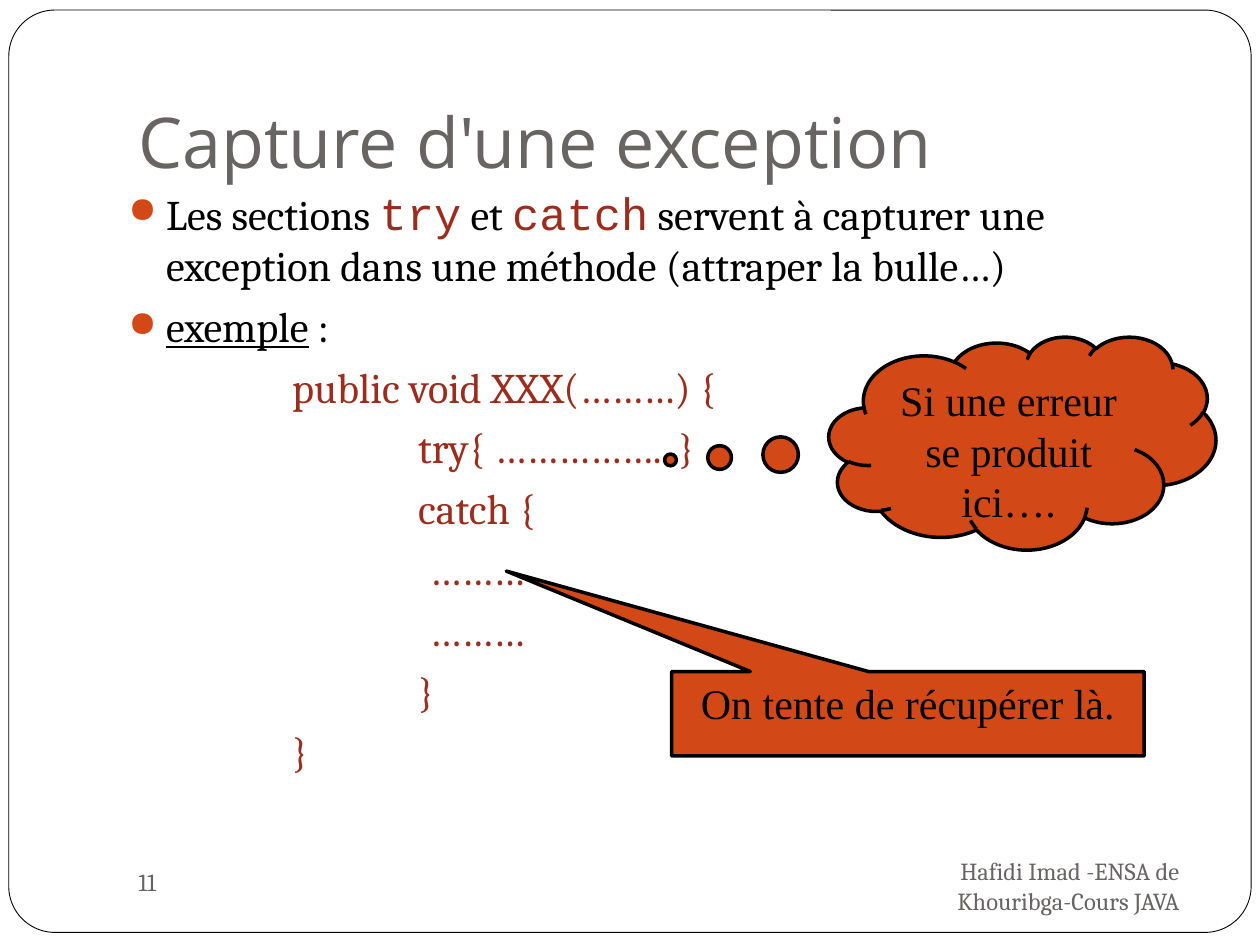
import pptx
import pptx.util
import pptx.dml.color
import pptx.enum.shapes
import pptx.enum.text
import pptx.oxml

Pt = pptx.util.Pt
Shape = pptx.enum.shapes.MSO_SHAPE
Align = pptx.enum.text.PP_ALIGN
Anchor = pptx.enum.text.MSO_ANCHOR
NS = 'xmlns:a="http://schemas.openxmlformats.org/drawingml/2006/main"'
COLS, ROWS = 40, 30
BLACK, WHITE, GREY, RED, ORANGE = "000000", "FFFFFF", "696464", "9B2D1F", "D34817"


def color(text):
    return pptx.dml.color.RGBColor.from_string(text)


class Deck:
    head = dict(name="Open Sans", size=Pt(40), color=GREY)
    foot = dict(name="Cambria", size=Pt(14), color=GREY)
    body = dict(name="Cambria", size=Pt(24.1), color=BLACK)
    code = dict(body, color=RED)
    word = dict(name="Courier New", size=Pt(25.9), color=RED)
    note = dict(name="Times New Roman", size=Pt(24), color=BLACK)

    def __init__(self):
        self.show = pptx.Presentation()
        self.show.slide_width = pptx.util.Inches(10)
        self.show.slide_height = pptx.util.Inches(7.5)
        self.slide = self.show.slides.add_slide(self.show.slide_layouts[6])

    def place(self, col, row, wide, high):
        x, y = self.show.slide_width / COLS, self.show.slide_height / ROWS
        return [round(n) for n in (col * x, row * y, wide * x, high * y)]

    def run(self, para, text, style, **more):
        run = para.add_run()
        run.text = text
        for key, value in dict(style, **more).items():
            if key == "color":
                run.font.color.rgb = color(value)
            else:
                setattr(run.font, key, value)

    def text(self, grid, text="", style=None, anchor=Anchor.TOP, align=Align.LEFT):
        frame = self.slide.shapes.add_textbox(*self.place(*grid)).text_frame
        frame.word_wrap = True
        frame.vertical_anchor = anchor
        frame.paragraphs[0].alignment = align
        if text:
            self.run(frame.paragraphs[0], text, style)
        return frame

    def shape(self, kind, grid, adjust, fill, width, text=""):
        item = self.slide.shapes.add_shape(kind, *self.place(*grid))
        item.shadow.inherit = False
        for i, value in enumerate(adjust):
            item.adjustments[i] = value
        item.fill.solid()
        item.fill.fore_color.rgb = color(fill)
        item.line.color.rgb = color(BLACK)
        item.line.width = Pt(width)
        if text:
            frame = item.text_frame
            frame.word_wrap = True
            frame.vertical_anchor = Anchor.TOP
            frame.paragraphs[0].alignment = Align.CENTER
            self.run(frame.paragraphs[0], text, self.note)

    def line(self, frame, left, hang=0):
        first = frame.paragraphs[0]
        para = frame.add_paragraph() if first.runs else first
        para.space_before = Pt(5.8)
        props = para._p.get_or_add_pPr()
        props.set("marL", str(pptx.util.Inches(left)))
        props.set("indent", str(-pptx.util.Inches(hang)))
        return para

    def bullet(self, frame):
        para = self.line(frame, 0.3, 0.3)
        for xml in (
            f'<a:buClr {NS}><a:srgbClr val="{ORANGE}"/></a:buClr>',
            f'<a:buSzPct {NS} val="85000"/>',
            f'<a:buChar {NS} char="●"/>',
        ):
            para._p.get_or_add_pPr().append(pptx.oxml.parse_xml(xml))
        return para


deck = Deck()
deck.shape(Shape.ROUNDED_RECTANGLE, (0.28, 0.32, 39.44, 29.28), [0.05], WHITE, 0.5)
deck.text((27, 27.08, 10.84, 2.08), "Hafidi Imad -ENSA de Khouribga-Cours JAVA",
          deck.foot, Anchor.MIDDLE, Align.RIGHT)
deck.text((4, 27, 17.32, 2), "11", deck.foot, Anchor.MIDDLE)
title = deck.text((4, 1.2, 34, 5), "Capture d'une exception", deck.head, Anchor.BOTTOM)
title.margin_bottom = pptx.util.Inches(0.1)

body = deck.text((3.68, 5.68, 34, 18))
para = deck.bullet(body)
for text, style in (
    ("Les sections ", deck.body),
    ("try", deck.word),
    (" et ", deck.body),
    ("catch", deck.word),
    (" servent à capturer une exception dans une méthode (attraper la bulle…)", deck.body),
):
    deck.run(para, text, style)
para = deck.bullet(body)
deck.run(para, "exemple", deck.body, underline=True)
deck.run(para, " :", deck.body)
for left, text in (
    (1.3, "public void XXX(………) {"),
    (2.3, "try{ …………….. }"),
    (2.3, "catch {"),
    (2.39, "………"),
    (2.39, "………"),
    (2.3, "}"),
    (1.3, "}"),
):
    deck.run(deck.line(body, left), text, deck.code)

deck.shape(Shape.CLOUD_CALLOUT, (26.32, 10.68, 12.28, 6.76), [-0.91, 0.08],
           ORANGE, 2, "Si une erreur se produit ici….")
deck.shape(Shape.RECTANGULAR_CALLOUT, (21.32, 21.32, 15, 2.68), [-0.85, -1.69],
           ORANGE, 2, "On tente de récupérer là.")
deck.show.save("out.pptx")
